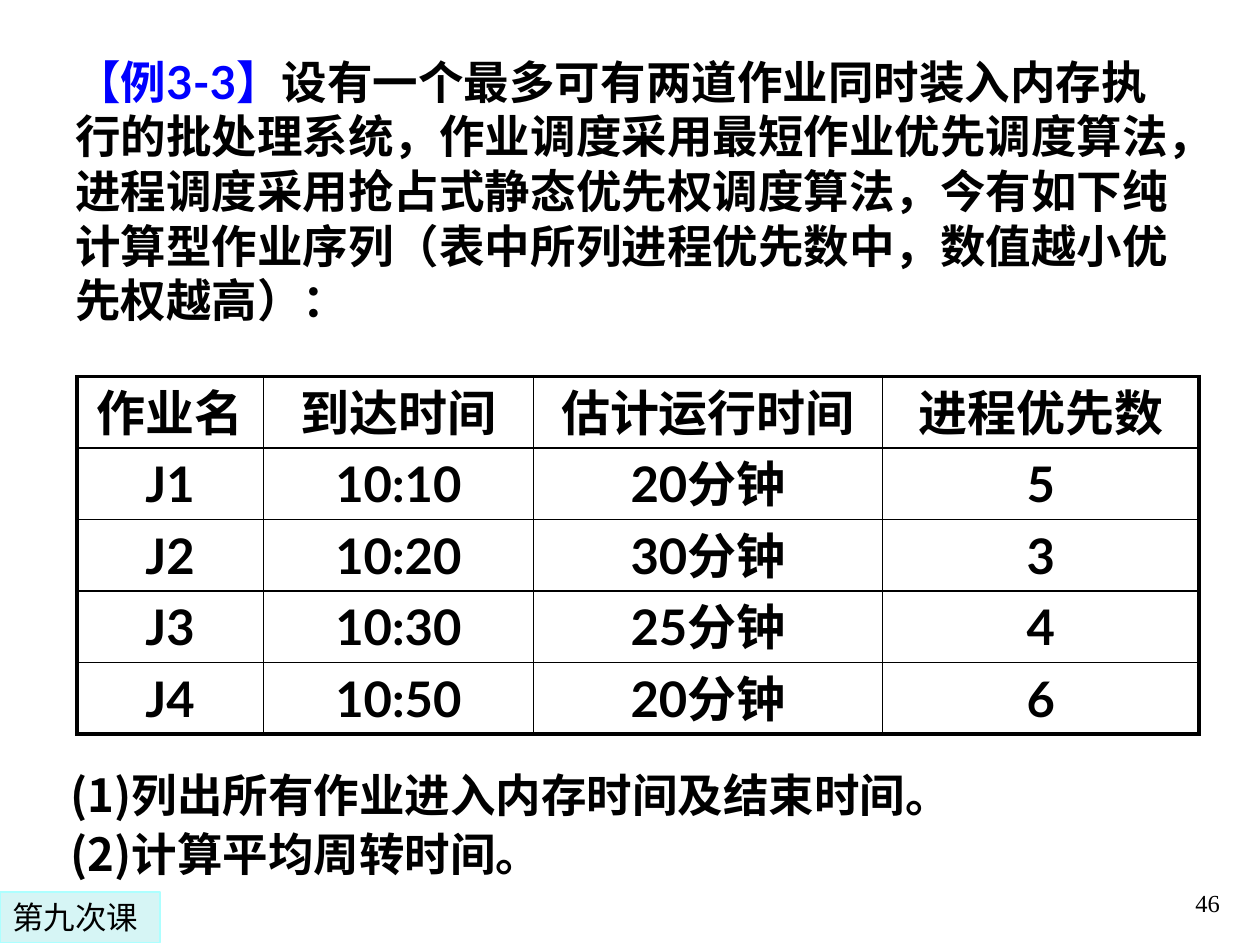
import pptx
import pptx.util
import pptx.dml.color
import pptx.enum.shapes
import pptx.enum.text
import pptx.oxml
import pptx.oxml.ns

Cm, Pt = pptx.util.Cm, pptx.util.Pt
ALIGN = pptx.enum.text.PP_ALIGN
ANCHOR = pptx.enum.text.MSO_ANCHOR
FIT = pptx.enum.text.MSO_AUTO_SIZE.SHAPE_TO_FIT_TEXT
HUES = {"ink": "000000", "mark": "0000FF", "tint": "D6F5F5", "edge": "ADFFFF"}
HAN, LATIN = "Noto Sans CJK SC", "Lato"


def shade(name):
    return pptx.dml.color.RGBColor.from_string(HUES[name])


class Page:
    """Holds the text style and the current slide."""

    def __init__(self, deck):
        self.slide = deck.slides.add_slide(deck.slide_layouts[6])
        self.size, self.bold = 26, True

    def run(self, para, text, font=HAN, hue="ink", size=None, bold=None):
        run = para.add_run()
        run.text = text
        run.font.size = Pt(size or self.size)
        run.font.bold = self.bold if bold is None else bold
        run.font.name = font
        run.font.color.rgb = shade(hue)
        # Chinese text takes its own font slot
        east = pptx.oxml.parse_xml(
            f'<a:ea {pptx.oxml.ns.nsdecls("a")} typeface="{font}"/>')
        run.font._element.find(pptx.oxml.ns.qn("a:latin")).addnext(east)

    def text(self, box, paras, lead=None, gap=0, align=None, anchor=ANCHOR.TOP, fit=True):
        frame = self.slide.shapes.add_textbox(*map(Cm, box)).text_frame
        frame.word_wrap = True
        frame.vertical_anchor = anchor
        if fit:
            frame.auto_size = FIT
        for i, runs in enumerate(paras):
            para = frame.add_paragraph() if i else frame.paragraphs[0]
            para.alignment = align
            if lead:
                para.line_spacing = Pt(lead)
            if i:
                para.space_before = Pt(gap)
            for args in runs:
                self.run(para, **args)

    def tag(self, box, text):
        rect = self.slide.shapes.add_shape(
            pptx.enum.shapes.MSO_SHAPE.RECTANGLE, *map(Cm, box))
        rect.shadow.inherit = False
        rect.fill.solid()
        rect.fill.fore_color.rgb = shade("tint")
        rect.line.color.rgb = shade("edge")
        rect.line.width = Pt(0.75)
        frame = rect.text_frame
        frame.word_wrap = True
        frame.auto_size = FIT
        frame.vertical_anchor = ANCHOR.TOP
        frame.paragraphs[0].alignment = ALIGN.LEFT
        self.run(frame.paragraphs[0], text, "DejaVu Sans", size=18, bold=False)

    def edge(self, cell, side, width):
        cell._tc.get_or_add_tcPr().append(pptx.oxml.parse_xml(
            f'<a:ln{side} {pptx.oxml.ns.nsdecls("a")} w="{Pt(width)}"><a:solidFill>'
            f'<a:srgbClr val="{HUES["ink"]}"/></a:solidFill></a:ln{side}>'))

    def table(self, left, top, cols, high, data):
        rows, last = len(data), len(cols) - 1
        grid = self.slide.shapes.add_table(
            rows, len(cols), Cm(left), Cm(top), Cm(sum(cols)), Cm(high * rows)).table
        grid.first_row = grid.horz_banding = False
        for c, wide in enumerate(cols):
            grid.columns[c].width = Cm(wide)
        for r, line in enumerate(data):
            grid.rows[r].height = Cm(high)
            for c, text in enumerate(line):
                cell = grid.cell(r, c)
                # Outer edges are thick, inner ones thin
                outer = {"L": c == 0, "R": c == last, "T": r == 0, "B": r == rows - 1}
                for side, thick in outer.items():
                    self.edge(cell, side, 2.25 if thick else 1)
                cell.fill.background()
                para = cell.text_frame.paragraphs[0]
                para.alignment = ALIGN.CENTER
                self.run(para, text, LATIN, size=28)


def main():
    deck = pptx.Presentation()
    deck.slide_width, deck.slide_height = Cm(25.4), Cm(19.05)
    page = Page(deck)

    # Page number
    page.text((19.56, 17.35, 5.28, 1.27),
              [[dict(text="46", font="Times New Roman", size=14, bold=False)]],
              align=ALIGN.RIGHT, anchor=ANCHOR.BOTTOM, fit=False)

    # Problem
    page.text((1.27, 0.96, 22.63, 5.82), [[
        dict(text="【例", hue="mark"),
        dict(text="3-3", font=LATIN, hue="mark"),
        dict(text="】", hue="mark"),
        dict(text="设有一个最多可有两道作业同时装入内存执行的批处理系统，"
                  "作业调度采用最短作业优先调度算法，进程调度采用抢占式静态优先权调度算法，"
                  "今有如下纯计算型作业序列（表中所列进程优先数中，数值越小优先权越高）："),
    ]], lead=31.2)

    # Questions
    page.text((1.17, 15.34, 20.75, 2.59), [
        [dict(text="(1)列出所有作业进入内存时间及结束时间。")],
        [dict(text="(2)计算平均周转时间。")],
    ], lead=31.2, gap=2.6)

    # Jobs
    page.table(1.55, 7.59, (3.76, 5.44, 7.04, 6.38), 1.44, [
        ("作业名", "到达时间", "估计运行时间", "进程优先数"),
        ("J1", "10:10", "20分钟", "5"),
        ("J2", "10:20", "30分钟", "3"),
        ("J3", "10:30", "25分钟", "4"),
        ("J4", "10:50", "20分钟", "6"),
    ])

    # Lesson tag
    page.tag((0, 17.98, 3.23, 1.02), "第九次课")

    deck.save("out.pptx")


if __name__ == "__main__":
    main()
